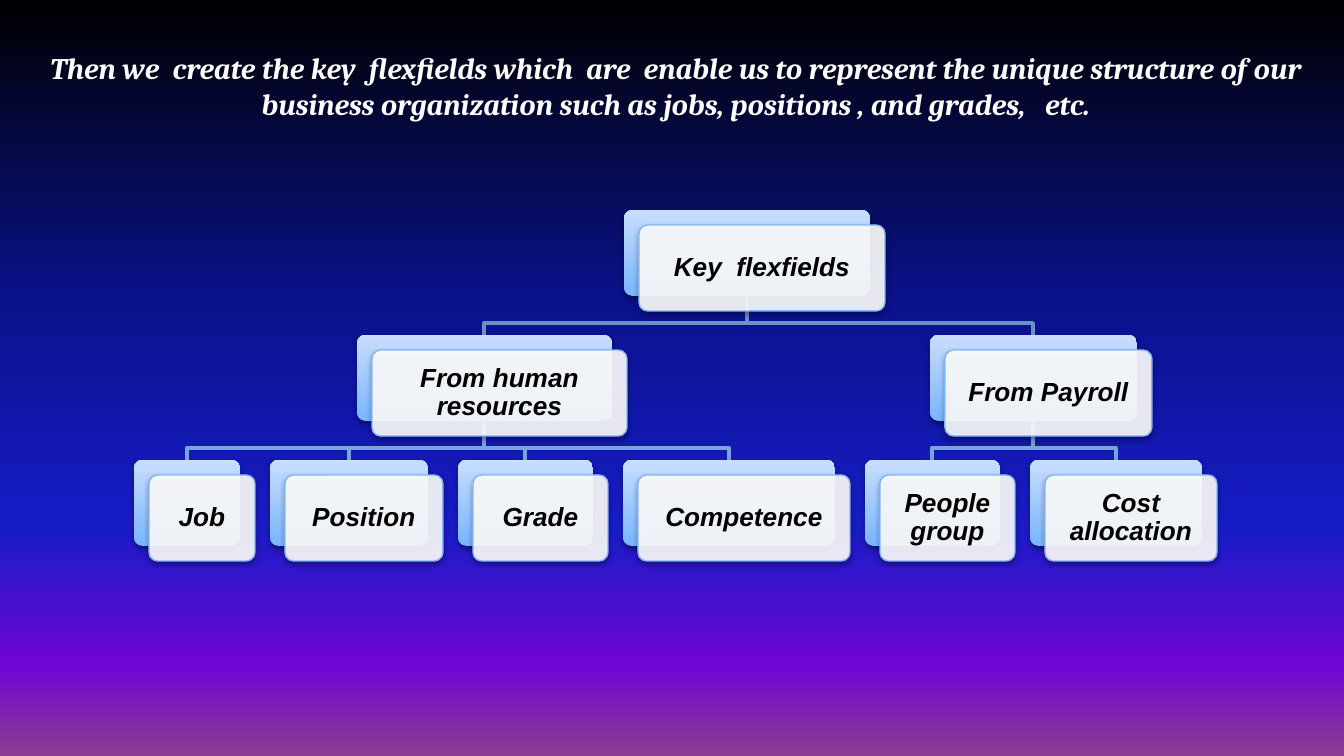
from copy import deepcopy
from dataclasses import dataclass, field

from pptx import Presentation
from pptx.dml.color import RGBColor
from pptx.enum.shapes import MSO_SHAPE as SHAPE
from pptx.enum.text import MSO_ANCHOR as ANCHOR, PP_ALIGN as ALIGN
from pptx.oxml import parse_xml
from pptx.oxml.ns import nsdecls, qn
from pptx.util import Pt

PX = 914400 / 134.4
WHITE = RGBColor(0xFF, 0xFF, 0xFF)
BLACK = RGBColor(0x00, 0x00, 0x00)
NAVY = RGBColor(0x0A, 0x12, 0x8C)
BLUE = RGBColor(0x18, 0x1C, 0xC7)
VIOLET = RGBColor(0x70, 0x05, 0xD4)
PLUM = RGBColor(0x8C, 0x3D, 0x91)
SKY = RGBColor(0x79, 0xB5, 0xFF)
PALE = RGBColor(0xC8, 0xDD, 0xFF)
EDGE = RGBColor(0x84, 0xB6, 0xF4)
BRANCHES = (RGBColor(0x6A, 0x92, 0xC3), RGBColor(0x78, 0xA5, 0xDD))

LEFT, TOP, GAP, PITCH = 134, 210, 30, 125
CARD_H, OFFSET, BEND = 86, 15, 27

SHADOW = (
    f'<a:outerShdw {nsdecls("a")} blurRad="39400" dist="23000" dir="5400000" '
    'rotWithShape="0"><a:srgbClr val="000000"><a:alpha val="35000"/>'
    '</a:srgbClr></a:outerShdw>'
)


@dataclass
class Node:
    text: str
    w: int
    children: list = field(default_factory=list)
    x: int = 0
    y: int = 0

    @property
    def centre(self):
        return self.x + self.w // 2

    def place(self, left, y):
        self.x, self.y = left, y
        if not self.children:
            return left + self.w
        edge = left
        for child in self.children:
            edge = child.place(edge, y + PITCH) + GAP
        first, last = self.children[0], self.children[-1]
        self.x = (first.x + last.x + last.w - self.w) // 2
        return edge - GAP


def px(n):
    return round(n * PX)


def write(tf, text, font="Arial", size=14, color=BLACK, spacing=1.0, inset=None):
    tf.word_wrap = True
    if inset is not None:
        tf.margin_left = tf.margin_right = px(inset)
        tf.margin_top = tf.margin_bottom = px(inset)
    p = tf.paragraphs[0]
    p.alignment = ALIGN.CENTER
    p.line_spacing = spacing
    r = p.add_run()
    r.text = text
    r.font.name = font
    r.font.size = Pt(size)
    r.font.color.rgb = color
    r.font.bold = r.font.italic = True


def shade(fill, element, stops, angle):
    fill.gradient()
    fill.gradient_angle = angle
    gs_list = element.find(".//" + qn("a:gsLst"))
    while len(gs_list) < len(stops):
        gs_list.append(deepcopy(gs_list[-1]))
    for stop, (position, color) in zip(fill.gradient_stops, stops):
        stop.position = position
        stop.color.rgb = color


class Deck:
    def __init__(self):
        self.prs = Presentation()
        self.prs.slide_width, self.prs.slide_height = px(1344), px(756)
        self.s = self.prs.slides.add_slide(self.prs.slide_layouts[5])

    def background(self, stops):
        shade(self.s.background.fill, self.s.element, stops, 270)

    def title(self, text, x, y, w, h):
        sp = self.s.shapes.title
        sp.left, sp.top, sp.width, sp.height = px(x), px(y), px(w), px(h)
        sp.text_frame.vertical_anchor = ANCHOR.TOP
        write(sp.text_frame, text, font="Cambria", size=16, color=WHITE)

    def branch(self, parent, child, color):
        bottom = parent.y + CARD_H
        builder = self.s.shapes.build_freeform(parent.centre, bottom, scale=PX)
        builder.add_line_segments(
            [
                (parent.centre, bottom + BEND),
                (child.centre, bottom + BEND),
                (child.centre, child.y),
            ],
            close=False,
        )
        sp = builder.convert_to_shape()
        sp.shadow.inherit = False
        sp.fill.background()
        sp.line.color.rgb = color
        sp.line.width = Pt(2)

    def panel(self, x, y, w):
        sp = self.s.shapes.add_shape(
            SHAPE.ROUNDED_RECTANGLE, px(x), px(y), px(w), px(CARD_H)
        )
        sp.adjustments[0] = 0.1
        sp.shadow.inherit = False
        sp.element.spPr.find(qn("a:effectLst")).append(parse_xml(SHADOW))
        return sp

    def card(self, node):
        back = self.panel(node.x, node.y, node.w)
        shade(back.fill, back.element, [(0, SKY), (1, PALE)], 90)
        back.line.fill.background()

        front = self.panel(node.x + OFFSET, node.y + OFFSET, node.w)
        front.fill.solid()
        front.fill.fore_color.rgb = WHITE
        color = front.element.spPr.find(qn("a:solidFill"))[0]
        color.append(parse_xml(f'<a:alpha {nsdecls("a")} val="90000"/>'))
        front.line.color.rgb = EDGE
        front.line.width = Pt(0.75)
        front.text_frame.vertical_anchor = ANCHOR.MIDDLE
        write(front.text_frame, node.text, spacing=0.9, inset=8)

    def branches(self, node, level=0):
        for child in node.children:
            self.branch(node, child, BRANCHES[level])
            self.branches(child, level + 1)

    def cards(self, node):
        self.card(node)
        for child in node.children:
            self.cards(child)


def main():
    deck = Deck()
    deck.background([(0, BLACK), (0.4, NAVY), (0.7, BLUE), (0.88, VIOLET), (1, PLUM)])
    deck.title(
        "Then we  create the key  flexfields which  are  enable us to represent "
        "the unique structure of our business organization such as jobs, "
        "positions , and grades,   etc.",
        23, 43, 1306, 86,
    )
    human_resources = Node("From human resources", 255, [
        Node("Job", 106),
        Node("Position", 158),
        Node("Grade", 135),
        Node("Competence", 212),
    ])
    payroll = Node("From Payroll", 207, [
        Node("People group", 135),
        Node("Cost allocation", 172),
    ])
    root = Node("Key  flexfields", 246, [human_resources, payroll])
    root.place(LEFT, TOP)
    deck.branches(root)
    deck.cards(root)
    deck.prs.save("out.pptx")


if __name__ == "__main__":
    main()
